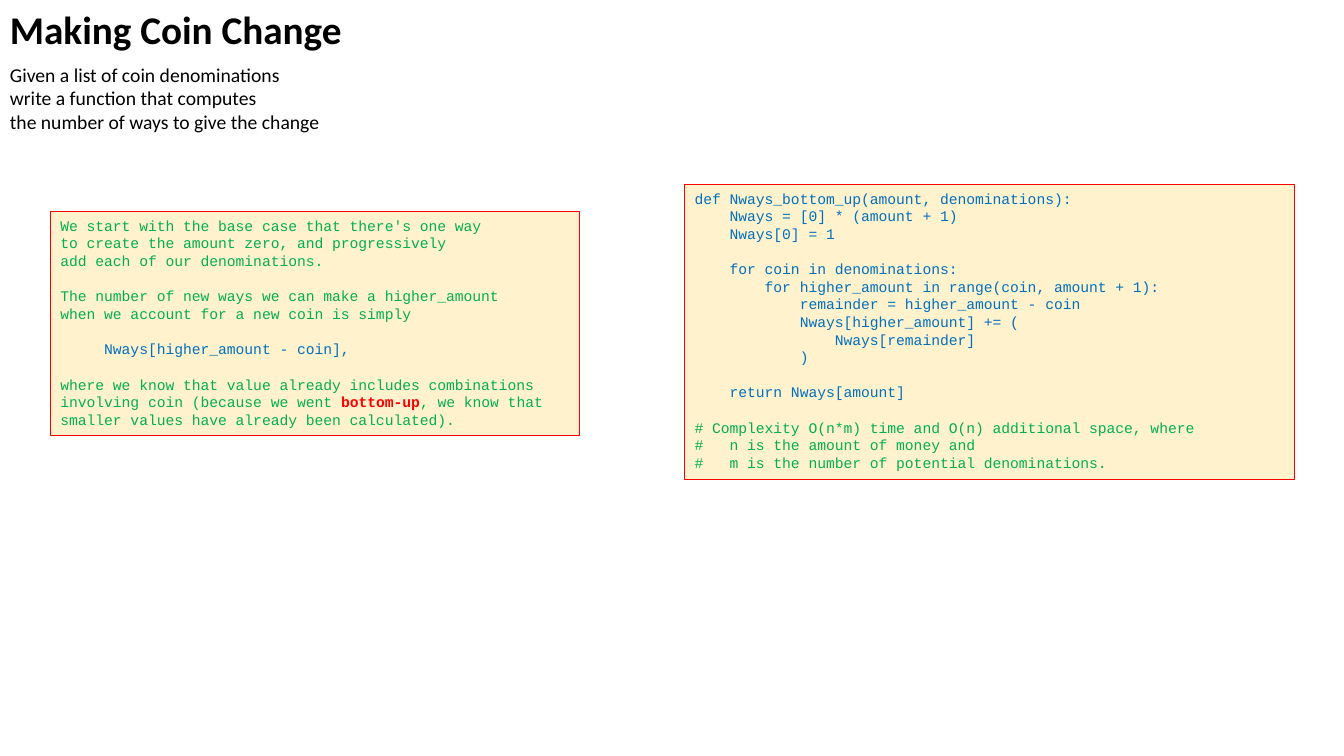
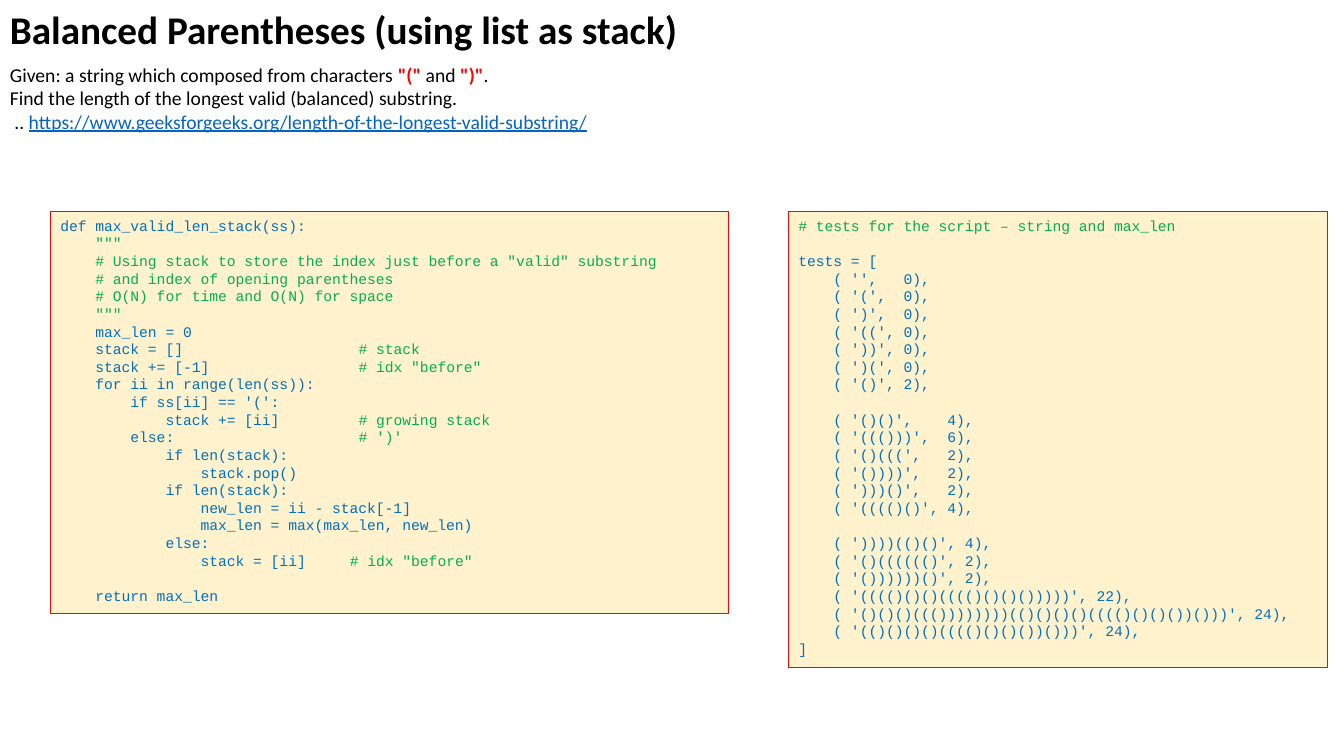
from dataclasses import dataclass

from pptx import Presentation
from pptx.dml.color import RGBColor
from pptx.enum.shapes import MSO_SHAPE
from pptx.enum.text import MSO_ANCHOR, MSO_AUTO_SIZE, PP_ALIGN
from pptx.slide import Slide
from pptx.text.text import TextFrame
from pptx.util import Emu, Pt

PX = 9144  # EMU per px, 100 px to the inch
SLIDE_W, SLIDE_H = 1333, 750

BLACK = RGBColor(0x00, 0x00, 0x00)
RED = RGBColor(0xFF, 0x00, 0x00)
CODE_BLUE = RGBColor(0x00, 0x70, 0xC0)
COMMENT_GREEN = RGBColor(0x00, 0xB0, 0x50)
LINK_BLUE = RGBColor(0x05, 0x63, 0xC1)
PANEL_CREAM = RGBColor(0xFF, 0xF2, 0xCC)

DOCSTRING_MARK = '"""'


@dataclass(frozen=True)
class Style:
    font: str
    size: float
    blank_line: float = 0  # points of space that stand for an empty line


TITLE = Style("Calibri", 28)
TASK = Style("Calibri", 14)
CODE = Style("Courier New", 10.5, 12.6)


@dataclass(frozen=True)
class Span:
    text: str
    color: RGBColor = BLACK
    bold: bool = False
    underline: bool = False


Line = list[Span]  # an empty list is a blank line


@dataclass(frozen=True)
class Box:
    left: int
    top: int
    width: int
    height: int

    def emu(self) -> tuple[Emu, ...]:
        return tuple(Emu(px * PX) for px in (self.left, self.top, self.width, self.height))


@dataclass(frozen=True)
class Panel:
    box: Box
    lines: list[Line]


@dataclass(frozen=True)
class Page:
    title: str
    title_width: int
    task: list[Line]
    task_width: int
    panels: list[Panel]


def highlight(code: str) -> list[Line]:
    """Colour comments and docstrings green, all other code blue."""
    lines: list[Line] = []
    in_docstring = False
    for row in code.strip("\n").split("\n"):
        is_mark = row.strip() == DOCSTRING_MARK
        if is_mark or in_docstring:
            lines.append([Span(row, COMMENT_GREEN)])
            in_docstring ^= is_mark
            continue
        statement, mark, comment = row.partition("#")
        spans = [Span(statement, CODE_BLUE), Span(mark + comment, COMMENT_GREEN)]
        lines.append([span for span in spans if span.text])
    return lines


def prose(text: str) -> list[Line]:
    return [[Span(row, COMMENT_GREEN)] if row else [] for row in text.split("\n")]


def write_lines(frame: TextFrame, lines: list[Line], style: Style) -> None:
    frame.word_wrap = True
    frame.auto_size = MSO_AUTO_SIZE.SHAPE_TO_FIT_TEXT
    frame.vertical_anchor = MSO_ANCHOR.TOP
    paragraph = frame.paragraphs[0]
    gap, started = 0, False
    for line in lines:
        if not line:
            gap += style.blank_line
            continue
        if started:
            paragraph = frame.add_paragraph()
        started = True
        paragraph.alignment = PP_ALIGN.LEFT
        if gap:
            paragraph.space_before = Pt(gap)
            gap = 0
        for span in line:
            run = paragraph.add_run()
            run.text = span.text
            run.font.name = style.font
            run.font.size = Pt(style.size)
            run.font.bold = span.bold
            run.font.underline = span.underline
            run.font.color.rgb = span.color


def draw_text(slide: Slide, box: Box, lines: list[Line], style: Style) -> None:
    write_lines(slide.shapes.add_textbox(*box.emu()).text_frame, lines, style)


def draw_panel(slide: Slide, panel: Panel) -> None:
    frame = slide.shapes.add_shape(MSO_SHAPE.RECTANGLE, *panel.box.emu())
    frame.shadow.inherit = False
    frame.fill.solid()
    frame.fill.fore_color.rgb = PANEL_CREAM
    frame.line.color.rgb = RED
    frame.line.width = Pt(0.75)
    write_lines(frame.text_frame, panel.lines, CODE)


def draw_page(slide: Slide, page: Page) -> None:
    draw_text(slide, Box(0, 0, page.title_width, 57), [[Span(page.title, bold=True)]], TITLE)
    draw_text(slide, Box(0, 57, page.task_width, 81), page.task, TASK)
    for panel in page.panels:
        draw_panel(slide, panel)


# Coin change
COIN_IDEA = [
    *prose("""We start with the base case that there's one way
to create the amount zero, and progressively
add each of our denominations.

The number of new ways we can make a higher_amount
when we account for a new coin is simply
"""),
    [Span("     Nways[higher_amount - coin],", CODE_BLUE)],
    *prose("""
where we know that value already includes combinations"""),
    [
        Span("involving coin (because we went ", COMMENT_GREEN),
        Span("bottom-up", RED, bold=True),
        Span(", we know that", COMMENT_GREEN),
    ],
    *prose("smaller values have already been calculated)."),
]

COIN_CODE = """
def Nways_bottom_up(amount, denominations):
    Nways = [0] * (amount + 1)
    Nways[0] = 1

    for coin in denominations:
        for higher_amount in range(coin, amount + 1):
            remainder = higher_amount - coin
            Nways[higher_amount] += (
                Nways[remainder]
            )

    return Nways[amount]

# Complexity O(n*m) time and O(n) additional space, where
#   n is the amount of money and
#   m is the number of potential denominations.
"""

# Balanced parentheses
STACK_CODE = '''
def max_valid_len_stack(ss):
    """
    # Using stack to store the index just before a "valid" substring
    # and index of opening parentheses
    # O(N) for time and O(N) for space
    """
    max_len = 0
    stack = []                    # stack
    stack += [-1]                 # idx "before"
    for ii in range(len(ss)):
        if ss[ii] == '(':
            stack += [ii]         # growing stack
        else:                     # ')'
            if len(stack):
                stack.pop()
            if len(stack):
                new_len = ii - stack[-1]
                max_len = max(max_len, new_len)
            else:
                stack = [ii]     # idx "before"

    return max_len
'''

STACK_TESTS = """
# tests for the script – string and max_len

tests = [
    ( '',   0),
    ( '(',  0),
    ( ')',  0),
    ( '((', 0),
    ( '))', 0),
    ( ')(', 0),
    ( '()', 2),

    ( '()()',    4),
    ( '((()))',  6),
    ( '()(((',   2),
    ( '())))',   2),
    ( ')))()',   2),
    ( '(((()()', 4),

    ( '))))(()()', 4),
    ( '()(((((()', 2),
    ( '())))))()', 2),
    ( '(((()()()(((()()()()))))', 22),
    ( '()()()((())))))))(()()()()(((()()()())()))', 24),
    ( '(()()()()(((()()()())()))', 24),
]
"""

PAGES = [
    Page(
        "Making Coin Change", 385,
        [
            [Span("Given a list of coin denominations")],
            [Span("write a function that computes")],
            [Span("the number of ways to give the change")],
        ], 353,
        [
            Panel(Box(50, 210, 525, 222), COIN_IDEA),
            Panel(Box(679, 183, 605, 293), highlight(COIN_CODE)),
        ],
    ),
    Page(
        "Balanced Parentheses (using list as stack)", 760,
        [
            [
                Span("Given: a string which composed from characters "),
                Span('"("', RED, bold=True),
                Span(" and"),
                Span(' ")"', RED, bold=True),
                Span("."),
            ],
            [Span("Find the length of the longest valid (balanced) substring.")],
            [
                Span(" .. "),
                Span("https://www.geeksforgeeks.org/length-of-the-longest-valid-substring/",
                     LINK_BLUE, underline=True),
            ],
        ], 738,
        [
            Panel(Box(50, 210, 673, 399), highlight(STACK_CODE)),
            Panel(Box(782, 210, 535, 452), highlight(STACK_TESTS)),
        ],
    ),
]


def main() -> None:
    deck = Presentation()
    deck.slide_width, deck.slide_height = Emu(SLIDE_W * PX), Emu(SLIDE_H * PX)
    blank = deck.slide_layouts[6]
    for page in PAGES:
        draw_page(deck.slides.add_slide(blank), page)
    deck.save("out.pptx")


if __name__ == "__main__":
    main()
